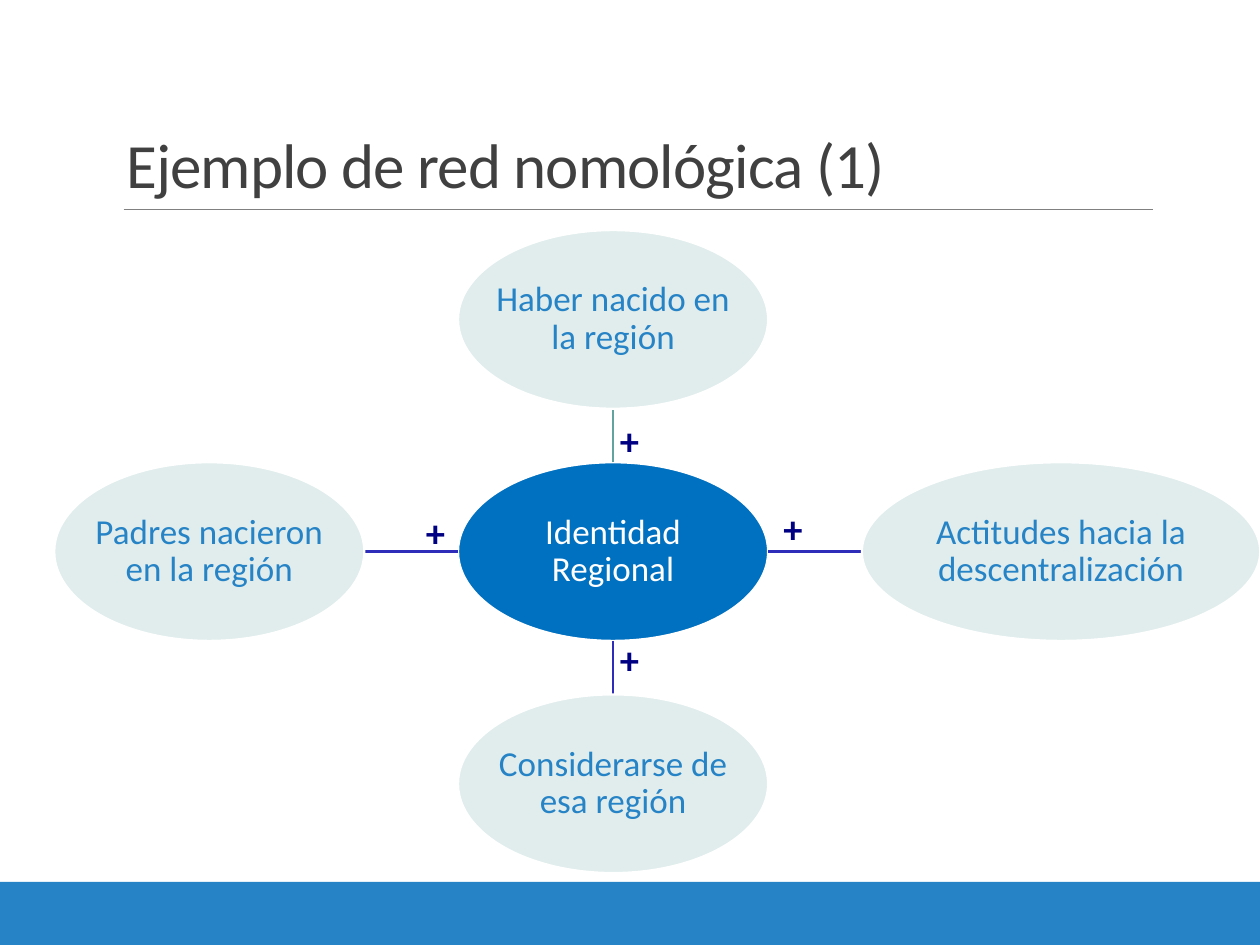
from dataclasses import dataclass

from lxml.etree import SubElement
from pptx import Presentation
from pptx.dml.color import RGBColor
from pptx.enum.shapes import MSO_CONNECTOR, MSO_SHAPE
from pptx.enum.text import MSO_ANCHOR, MSO_AUTO_SIZE, PP_ALIGN
from pptx.oxml.ns import qn
from pptx.util import Cm, Pt


@dataclass(frozen=True)
class Theme:
    font: str = "Calibri"
    title_size: float = 36
    node_size: float = 20
    sign_size: float = 22
    line_width: float = 1.25
    rule_width: float = 0.5
    title: str = "404040"
    accent: str = "2683C6"
    core: str = "0070C0"
    pale: str = "E0EDEC"
    white: str = "FFFFFF"
    rule: str = "808080"
    teal: str = "62A39F"
    indigo: str = "2D2DB9"
    sign: str = "000082"


@dataclass(frozen=True)
class Node:
    """An oval placed by its centre, in centimetres."""
    lines: tuple[str, ...]
    x: float
    y: float
    width: float = 6.25
    height: float = 3.6
    fill: str = Theme.pale
    color: str = Theme.accent


@dataclass(frozen=True)
class Spoke:
    """An outer node, its link to the core and the place of its sign."""
    node: Node
    line_color: str
    sign_left: float
    sign_top: float


THEME = Theme()
CORE_X, CORE_Y = 12.36, 11.12
ROW_STEP, LEFT_STEP, RIGHT_STEP = 4.68, 8.14, 9.03

CORE = Node(("Identidad", "Regional"), CORE_X, CORE_Y, fill=THEME.core, color=THEME.white)
SPOKES = (
    Spoke(Node(("Haber nacido en", "la región"), CORE_X, CORE_Y - ROW_STEP),
          THEME.teal, 11.89, 8.28),
    Spoke(Node(("Actitudes hacia la", "descentralización"), CORE_X + RIGHT_STEP, CORE_Y,
               width=8.03),
          THEME.indigo, 15.19, 10.06),
    Spoke(Node(("Considerarse de", "esa región"), CORE_X, CORE_Y + ROW_STEP),
          THEME.indigo, 11.89, 12.7),
    Spoke(Node(("Padres nacieron", "en la región"), CORE_X - LEFT_STEP, CORE_Y),
          THEME.indigo, 7.98, 10.13),
)


def apply(target, values: dict) -> None:
    for name, value in values.items():
        setattr(target, name, value)


def format_font(font, size: float, color: str, bold: bool = False) -> None:
    apply(font, {"name": THEME.font, "size": Pt(size), "bold": bold})
    font.color.rgb = RGBColor.from_string(color)


def fill_shape(shape, color: str) -> None:
    shape.shadow.inherit = False
    shape.fill.solid()
    shape.fill.fore_color.rgb = RGBColor.from_string(color)


def draw_line(slide, start: tuple, end: tuple, color: str, width: float) -> None:
    points = [Cm(value) for value in (*start, *end)]
    connector = slide.shapes.add_connector(MSO_CONNECTOR.STRAIGHT, *points)
    connector.line.color.rgb = RGBColor.from_string(color)
    connector.line.width = Pt(width)
    SubElement(connector._element.spPr, qn("a:effectLst"))


def draw_node(slide, node: Node) -> None:
    shape = slide.shapes.add_shape(
        MSO_SHAPE.OVAL, Cm(node.x - node.width / 2), Cm(node.y - node.height / 2),
        Cm(node.width), Cm(node.height))
    fill_shape(shape, node.fill)
    shape.line.color.rgb = RGBColor.from_string(THEME.white)
    shape.line.width = Pt(THEME.line_width)
    apply(shape.text_frame, {"word_wrap": False, "vertical_anchor": MSO_ANCHOR.MIDDLE})
    paragraph = shape.text_frame.paragraphs[0]
    apply(paragraph, {"alignment": PP_ALIGN.CENTER, "line_spacing": 0.9})
    for index, line in enumerate(node.lines):
        if index:
            paragraph.add_line_break()
        run = paragraph.add_run()
        run.text = line
        format_font(run.font, THEME.node_size, node.color)


def draw_link(slide, spoke: Spoke) -> None:
    """Join the facing edges of the core and an outer node."""
    node = spoke.node
    side_x = (node.x > CORE.x) - (node.x < CORE.x)
    side_y = (node.y > CORE.y) - (node.y < CORE.y)
    start = (CORE.x + side_x * CORE.width / 2, CORE.y + side_y * CORE.height / 2)
    end = (node.x - side_x * node.width / 2, node.y - side_y * node.height / 2)
    draw_line(slide, start, end, spoke.line_color, THEME.line_width)


def draw_sign(slide, spoke: Spoke) -> None:
    box = slide.shapes.add_textbox(
        Cm(spoke.sign_left), Cm(spoke.sign_top), Cm(1.24), Cm(0.76))
    box.text_frame.word_wrap = True
    paragraph = box.text_frame.paragraphs[0]
    paragraph.alignment = PP_ALIGN.RIGHT
    run = paragraph.add_run()
    run.text = "+"
    format_font(run.font, THEME.sign_size, THEME.sign, bold=True)


def draw_title(slide, text: str) -> None:
    title = slide.shapes.title
    apply(title, {"left": Cm(2.29), "top": Cm(0.15), "width": Cm(20.96), "height": Cm(4.04)})
    apply(title.text_frame, {"vertical_anchor": MSO_ANCHOR.BOTTOM, "word_wrap": True,
                             "auto_size": MSO_AUTO_SIZE.NONE})
    paragraph = title.text_frame.paragraphs[0]
    apply(paragraph, {"alignment": PP_ALIGN.LEFT, "line_spacing": 0.85})
    run = paragraph.add_run()
    run.text = text
    format_font(run.font, THEME.title_size, THEME.title)
    run._r.get_or_add_rPr().set("spc", "-50")


def main() -> None:
    presentation = Presentation()
    apply(presentation, {"slide_width": Cm(25.4), "slide_height": Cm(19.05)})
    slide = presentation.slides.add_slide(presentation.slide_layouts[5])

    # Footer band, title and rule
    band = slide.shapes.add_shape(MSO_SHAPE.RECTANGLE, 0, Cm(17.78), Cm(25.4), Cm(1.27))
    fill_shape(band, THEME.accent)
    band.line.fill.background()
    draw_title(slide, "Ejemplo de red nomológica (1)")
    draw_line(slide, (2.49, 4.22), (23.24, 4.22), THEME.rule, THEME.rule_width)

    # Nomological network
    draw_node(slide, CORE)
    for spoke in SPOKES:
        draw_link(slide, spoke)
        draw_node(slide, spoke.node)

    # Signs of the relations
    for spoke in SPOKES:
        draw_sign(slide, spoke)

    presentation.save("out.pptx")


if __name__ == "__main__":
    main()
